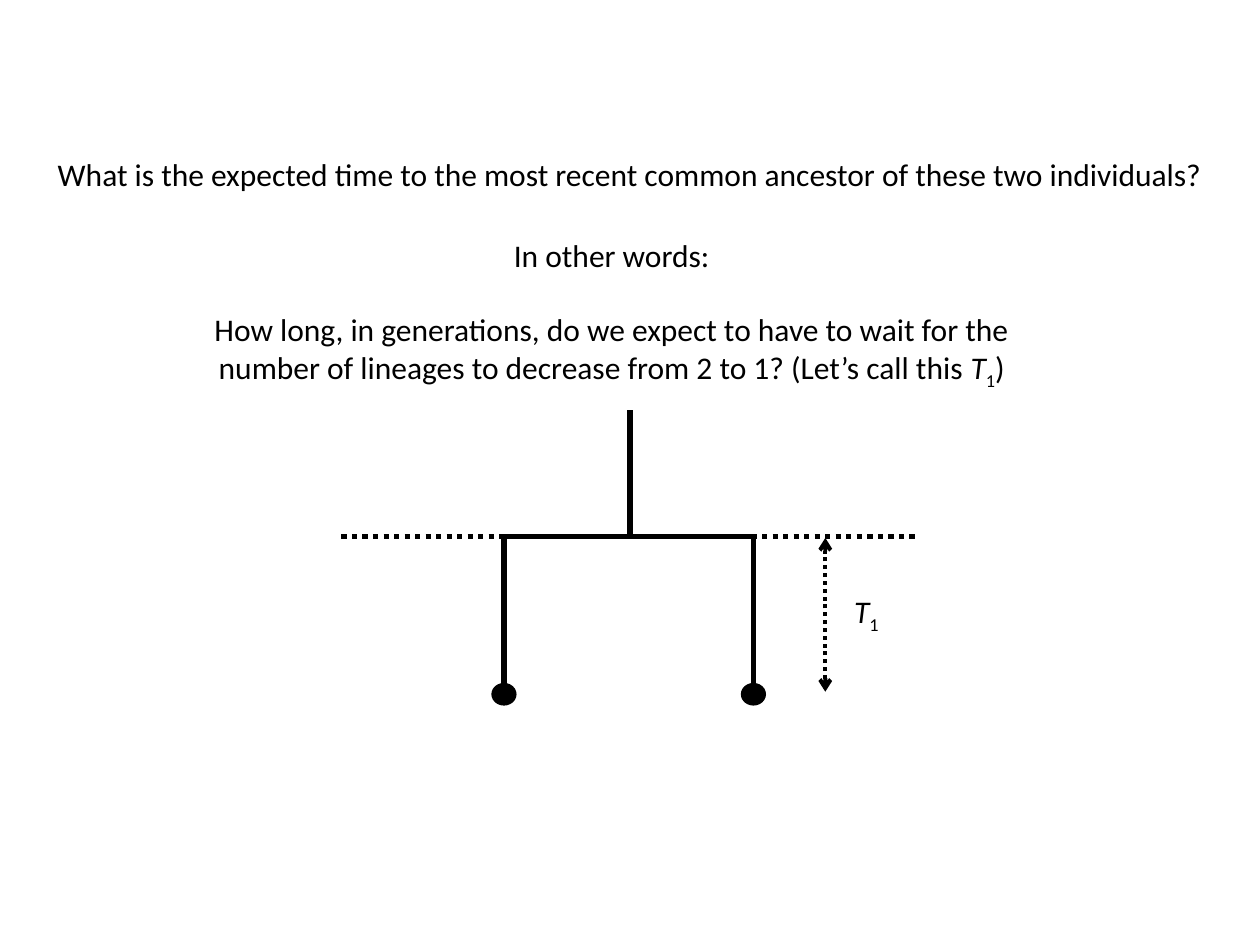
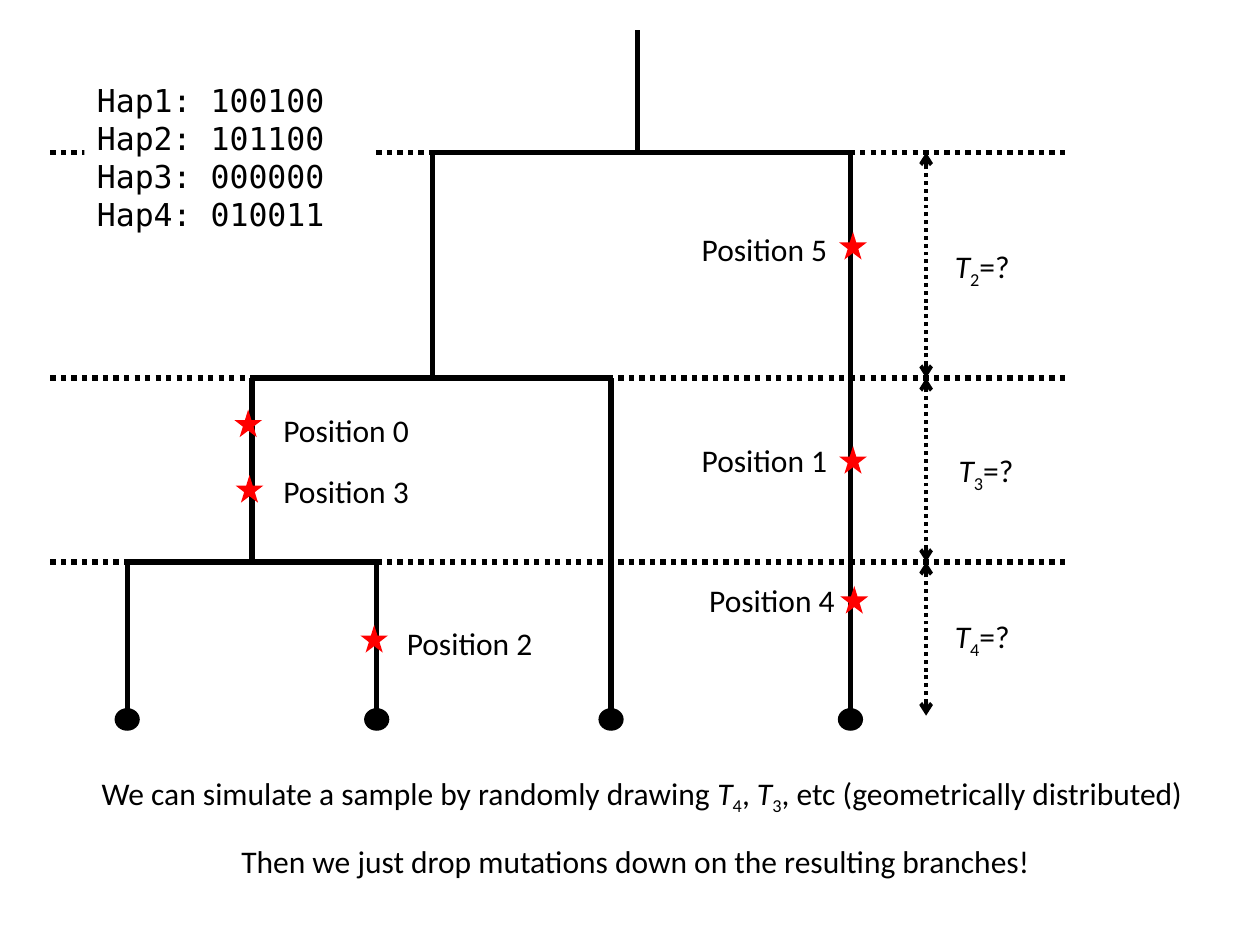
from lxml import etree
from pptx import Presentation
from pptx.dml.color import RGBColor
from pptx.enum.dml import MSO_LINE
from pptx.enum.shapes import MSO_CONNECTOR, MSO_SHAPE
from pptx.enum.text import PP_ALIGN
from pptx.oxml.ns import qn
from pptx.util import Inches, Pt

STRAIGHT = MSO_CONNECTOR.STRAIGHT
DOTS = MSO_LINE.ROUND_DOT
OVAL, STAR, RECT = MSO_SHAPE.OVAL, MSO_SHAPE.STAR_5_POINT, MSO_SHAPE.RECTANGLE
LEFT, CENTER = PP_ALIGN.LEFT, PP_ALIGN.CENTER
BLACK, WHITE, RED = "000000", "FFFFFF", "FF0000"
SANS, MONO = "Calibri", "DejaVu Sans Mono"


def color(code):
    """Turn a hex string into a colour."""
    return RGBColor.from_string(code)


def add_line(slide, start, end, width=3, dots=False, arrows=False):
    """Draw a black line, dotted or with arrowheads at both ends if asked."""
    line = slide.shapes.add_connector(STRAIGHT, *map(Inches, start + end))
    line.line.color.rgb = color(BLACK)
    line.line.width = Pt(width)
    if dots:
        line.line.dash_style = DOTS
    props = line._element.spPr
    if arrows:
        for tag in ("a:headEnd", "a:tailEnd"):
            etree.SubElement(props.find(qn("a:ln")), qn(tag), type="arrow")
    etree.SubElement(props, qn("a:effectLst"))


def add_mark(slide, kind, box, fill):
    """Add a plain filled shape without outline or shadow."""
    mark = slide.shapes.add_shape(kind, *map(Inches, box))
    mark.shadow.inherit = False
    mark.fill.solid()
    mark.fill.fore_color.rgb = color(fill)
    mark.line.fill.background()
    return mark


def add_runs(para, text):
    """Add runs, where a symbol between bars has an italic letter and a subscript."""
    for index, part in enumerate(text.split("|")):
        if index % 2:
            para.add_run().text = part[0]
            para.runs[-1].font.italic = True
            low = para.add_run()
            low.text = part[1:]
            low._r.get_or_add_rPr().set("baseline", "-25000")
        elif part:
            para.add_run().text = part


def write(shape, lines, align=LEFT, font=SANS, gap=0, wrap=True):
    """Fill a shape with one paragraph per line, set apart by a gap in points."""
    frame = shape.text_frame
    frame.word_wrap = wrap
    for index, text in enumerate(lines):
        para = frame.add_paragraph() if index else frame.paragraphs[0]
        add_runs(para, text)
        para.alignment = align
        para.font.name = font
        para.font.size = Pt(18)
        para.font.color.rgb = color(BLACK)
        if index:
            para.space_before = Pt(gap)


def add_text(slide, box, *lines, **style):
    """Add a text box."""
    write(slide.shapes.add_textbox(*map(Inches, box)), lines, **style)


def add_label(slide, left, top, text, width=1.21):
    """Add a short label on one line."""
    add_text(slide, (left, top, width, 0.4), text, wrap=False)


def add_tree(slide, stems, bars):
    """Draw the upright branches and the bars that join them."""
    for x, low, high in stems:
        add_line(slide, (x, low), (x, high))
    for left, right, y in bars:
        add_line(slide, (left, y), (right, y))


def add_levels(slide, left, right, levels):
    """Draw a dotted line across at each level."""
    for y in levels:
        add_line(slide, (left, y), (right, y), dots=True)


def add_span(slide, x, low, high):
    """Draw a dotted double arrow for a waiting time."""
    add_line(slide, (x, low), (x, high), width=2.25, dots=True, arrows=True)


def add_tips(slide, tips, base):
    """Put a dot under each branch that ends at the base."""
    for x in tips:
        add_mark(slide, OVAL, (x - 0.1, base - 0.06, 0.2, 0.18), BLACK)


def build_pair(slide):
    """Show the wait until two lineages meet."""
    tips, base, join = (4, 5.98), 5.48, 4.26
    add_text(slide, (1.41, 1.82, 6.89, 1.31), "In other words:",
             "How long, in generations, do we expect to have to wait for the number "
             "of lineages to decrease from 2 to 1? (Let’s call this |T1|)",
             align=CENTER, gap=21)
    add_text(slide, (0, 1.18, 10, 0.71),
             "What is the expected time to the most recent common ancestor "
             "of these two individuals?", align=CENTER)
    add_tree(slide, [(x, base, join) for x in tips] + [(5, join, 3.25)],
             [(*tips, join)])
    add_levels(slide, 2.71, 7.27, [join])
    add_span(slide, 6.55, 5.49, 4.27)
    add_label(slide, 6.68, 4.65, "|T1|", 0.41)
    add_tips(slide, tips, base)


def build_sample(slide):
    """Show a tree of four haplotypes with mutations on its branches."""
    tips, base = (1.01, 2.99, 4.85, 6.75), 5.68
    levels = third, second, first = 4.46, 3, 1.21
    tops = third, third, second, first
    stems = [(x, base, top) for x, top in zip(tips, tops)]
    stems += [(2, third, second), (3.43, second, first), (5.06, first, 0.24)]
    add_tree(slide, stems, [(1.01, 2.99, third), (2, 4.85, second),
                            (3.43, 6.75, first)])
    for low, high in zip((base,) + levels, levels):
        add_span(slide, 7.35, low, high)
    add_levels(slide, 0.4, 8.47, levels)
    for count, left, top in ((4, 7.48, 4.85), (3, 7.51, 3.53), (2, 7.48, 1.91)):
        add_label(slide, left, top, f"|T{count}|=?", 0.65)
    add_tips(slide, tips, base)
    add_text(slide, (0.68, 6.09, 8.83, 0.4),
             "We can simulate a sample by randomly drawing |T4|, |T3|, "
             "etc (geometrically distributed)", align=CENTER, wrap=False)
    add_text(slide, (0.68, 6.63, 8.73, 0.4),
             "Then we just drop mutations down on the resulting branches!",
             align=CENTER)
    haps = ("100100", "101100", "000000", "010011")
    panel = add_mark(slide, RECT, (0.67, 0.59, 2.29, 1.31), WHITE)
    write(panel, [f"Hap{n}: {bits}" for n, bits in enumerate(haps, 1)], font=MONO)
    sites = (((1.86, 3.25), (2.15, 3.21)), ((6.66, 3.54), (5.47, 3.45)),
             ((2.86, 4.96), (3.13, 4.9)), ((1.87, 3.77), (2.15, 3.7)),
             ((6.67, 4.65), (5.53, 4.56)), ((6.66, 1.84), (5.47, 1.78)))
    for site, (star, label) in enumerate(sites):
        add_mark(slide, STAR, (*star, 0.22, 0.22), RED)
        add_label(slide, *label, f"Position {site}")


def main():
    """Build both slides and save them."""
    deck = Presentation()
    deck.slide_width, deck.slide_height = Inches(10), Inches(7.5)
    for build in (build_pair, build_sample):
        build(deck.slides.add_slide(deck.slide_layouts[6]))
    deck.save("out.pptx")


if __name__ == "__main__":
    main()
